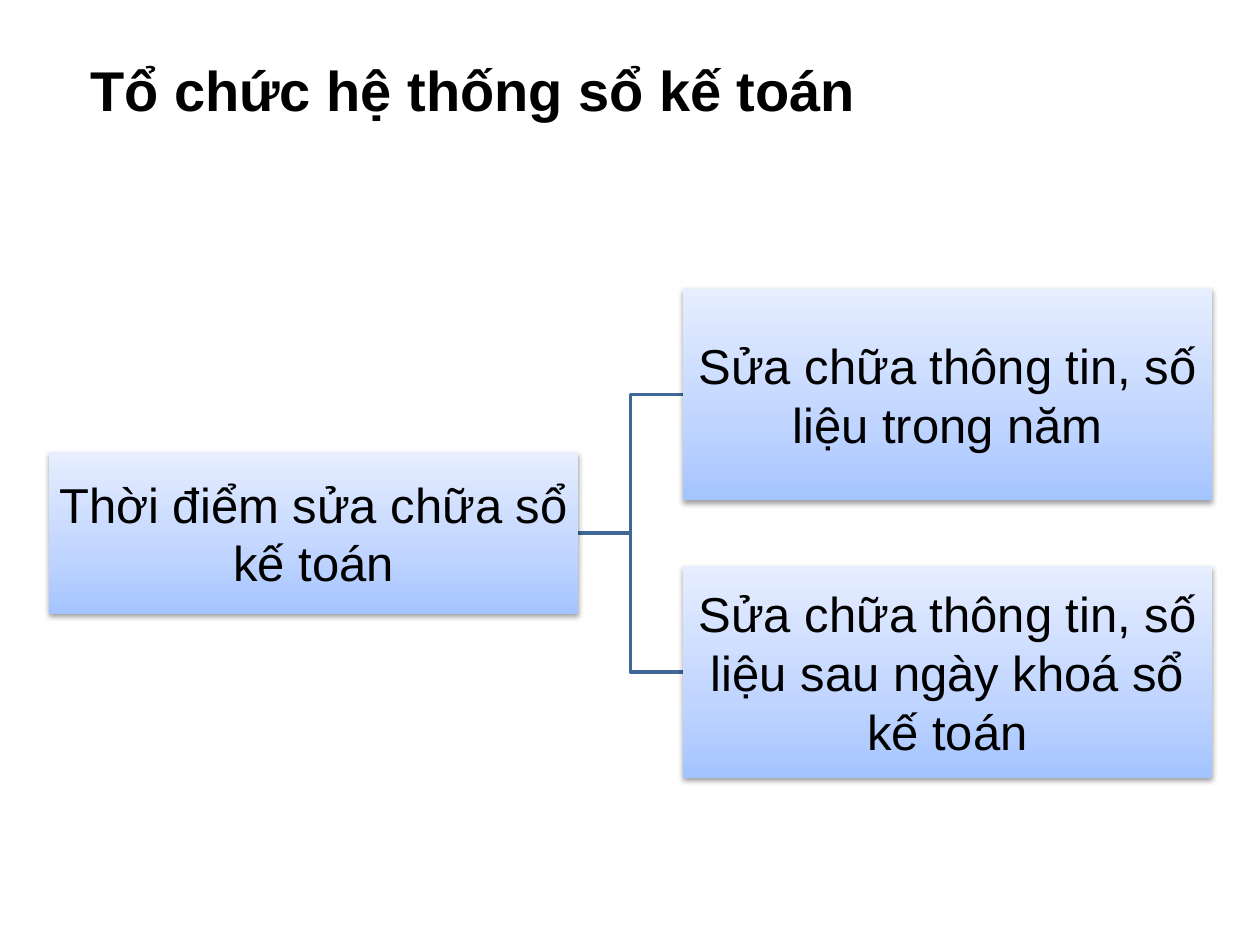
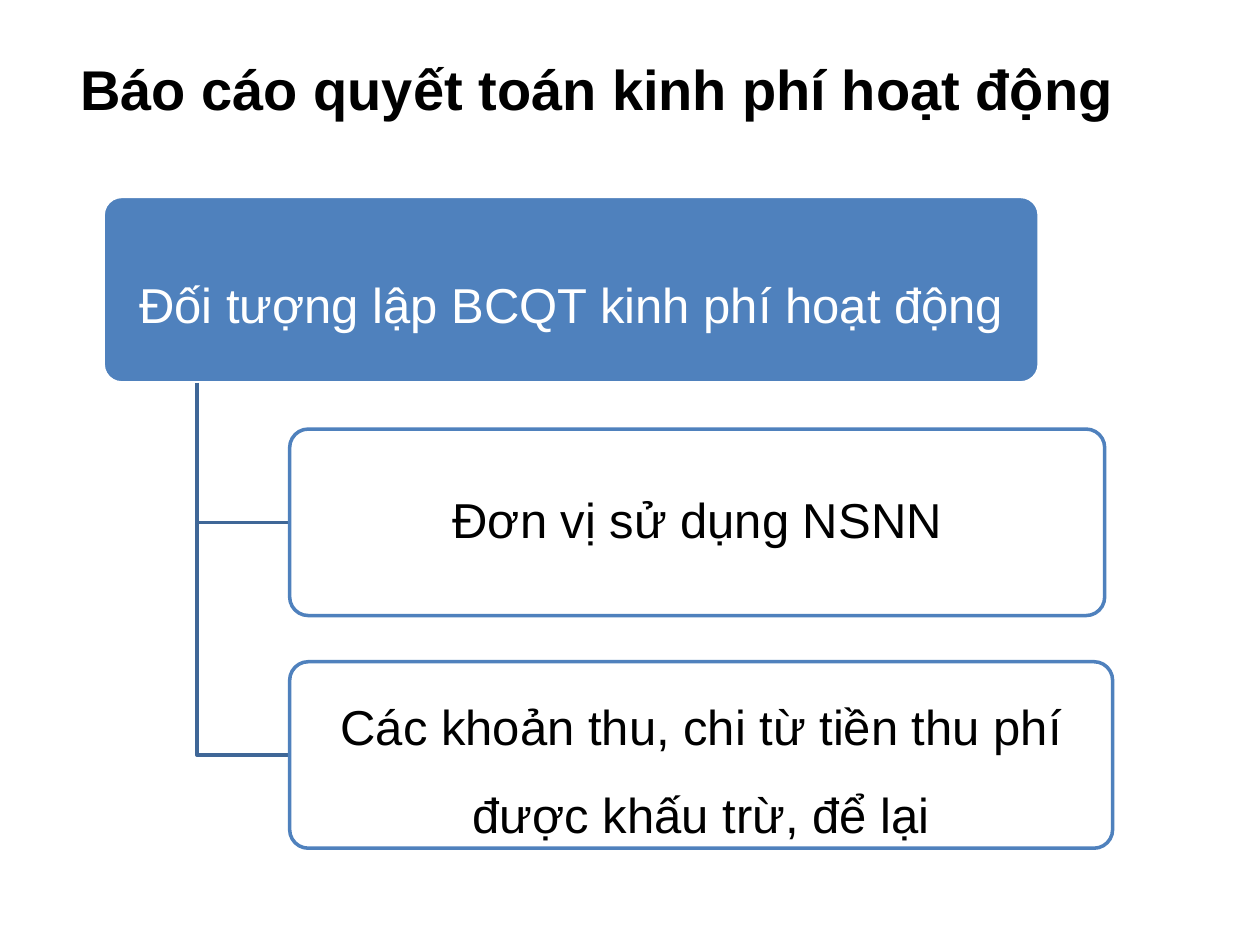
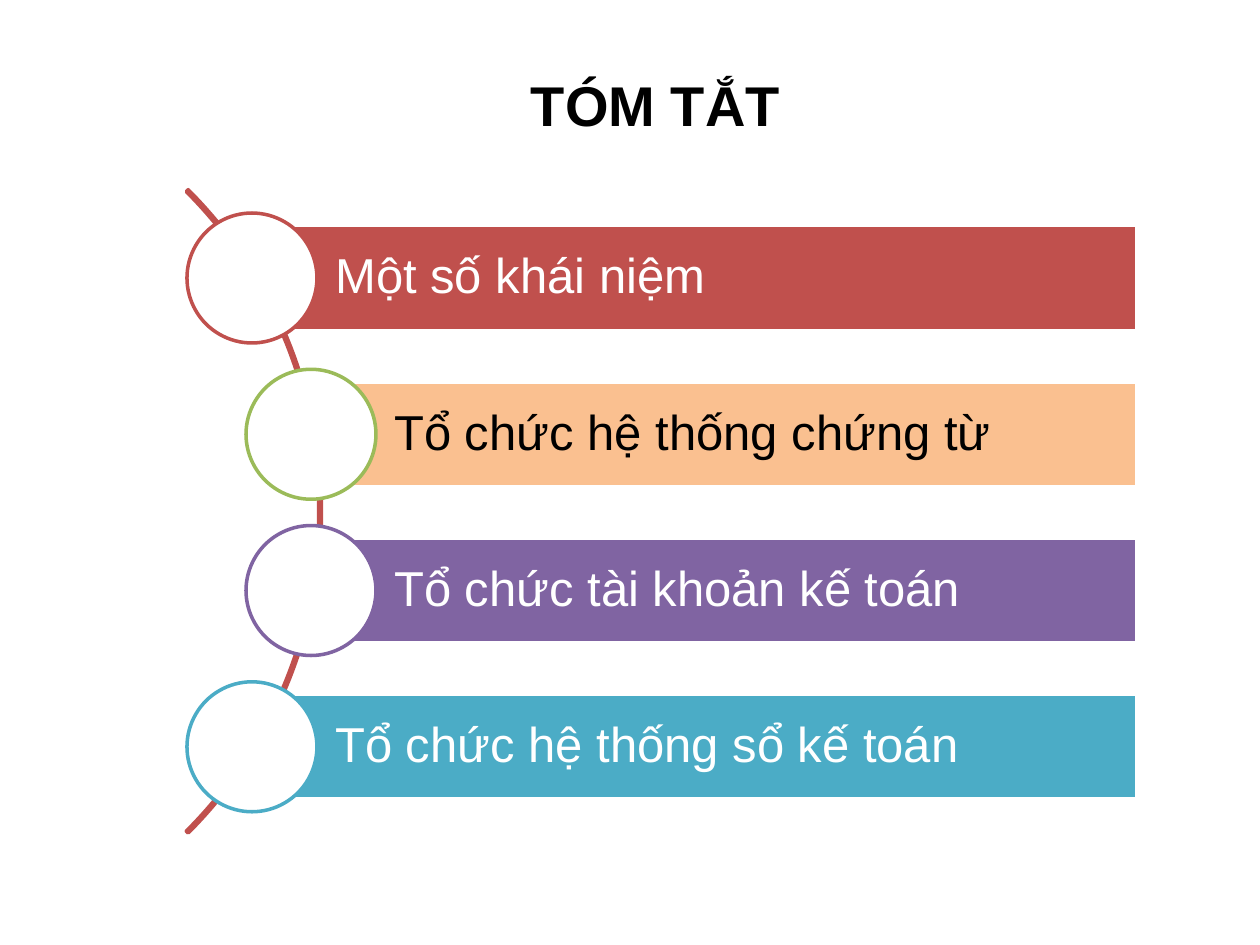
import copy
from dataclasses import dataclass
from typing import Optional

import lxml.etree
import pptx
import pptx.dml.color
import pptx.enum.shapes
import pptx.enum.text
import pptx.oxml.ns
import pptx.util

Cm = pptx.util.Cm
Pt = pptx.util.Pt
RGBColor = pptx.dml.color.RGBColor
MSO_SHAPE = pptx.enum.shapes.MSO_SHAPE
PP_ALIGN = pptx.enum.text.PP_ALIGN
qn = pptx.oxml.ns.qn

FONT = "Arial"
TITLE_SIZE = Pt(32)
BODY_SIZE = Pt(28)
LINE_WIDTH = Pt(2)

BLACK = RGBColor(0x00, 0x00, 0x00)
WHITE = RGBColor(0xFF, 0xFF, 0xFF)
BLUE = RGBColor(0x4F, 0x81, 0xBD)
DARK_BLUE = RGBColor(0x3F, 0x67, 0x97)
RED = RGBColor(0xC0, 0x50, 0x4D)
GREEN = RGBColor(0x9B, 0xBB, 0x59)
ORANGE = RGBColor(0xFA, 0xC0, 0x90)
PURPLE = RGBColor(0x80, 0x64, 0xA2)
TEAL = RGBColor(0x4B, 0xAC, 0xC6)
GRADIENT = (
    (0, RGBColor(0xA4, 0xC4, 0xFF)),
    (0.35, RGBColor(0xBF, 0xD4, 0xFF)),
    (1, RGBColor(0xE6, 0xEE, 0xFF)),
)


@dataclass(frozen=True)
class Box:
    """A rectangle measured in centimetres."""
    left: float
    top: float
    width: float
    height: float

    @property
    def right(self) -> float:
        return self.left + self.width

    @property
    def bottom(self) -> float:
        return self.top + self.height

    @property
    def middle(self) -> float:
        return self.top + self.height / 2

    def lengths(self) -> tuple:
        return Cm(self.left), Cm(self.top), Cm(self.width), Cm(self.height)


@dataclass(frozen=True)
class Label:
    text: str
    color: RGBColor = BLACK
    align: PP_ALIGN = PP_ALIGN.CENTER
    spacing: float = 1.0
    insets: tuple = (0.05, 0.05, 0.05, 0.05)


@dataclass(frozen=True)
class Node:
    box: Box
    label: Label


@dataclass(frozen=True)
class Topic:
    text: str
    left: float
    fill: RGBColor
    ring: RGBColor
    color: RGBColor = WHITE


def add_run(p, text: str, size: Pt, color: RGBColor, bold: bool = False) -> None:
    r = p.add_run()
    r.text = text
    r.font.name = FONT
    r.font.size = size
    r.font.bold = bold
    r.font.color.rgb = color


def add_title_slide(prs, text: str, box: Box, align: PP_ALIGN = PP_ALIGN.LEFT):
    s = prs.slides.add_slide(prs.slide_layouts[6])
    tf = s.shapes.add_textbox(*box.lengths()).text_frame
    tf.word_wrap = True
    tf.auto_size = pptx.enum.text.MSO_AUTO_SIZE.SHAPE_TO_FIT_TEXT
    p = tf.paragraphs[0]
    p.alignment = align
    add_run(p, text, TITLE_SIZE, BLACK, bold=True)
    return s


def set_line(sp, color: Optional[RGBColor]) -> None:
    if color is None:
        sp.line.fill.background()
    else:
        sp.line.color.rgb = color
        sp.line.width = LINE_WIDTH


def add_shape(s, kind: MSO_SHAPE, box: Box, fill: Optional[RGBColor] = None,
              line: Optional[RGBColor] = None):
    sp = s.shapes.add_shape(kind, *box.lengths())
    sp.shadow.inherit = False
    if fill is None:
        sp.fill.background()
    else:
        sp.fill.solid()
        sp.fill.fore_color.rgb = fill
    set_line(sp, line)
    return sp


def write_label(sp, label: Label) -> None:
    tf = sp.text_frame
    tf.word_wrap = True
    tf.vertical_anchor = pptx.enum.text.MSO_ANCHOR.MIDDLE
    (tf.margin_left, tf.margin_top,
     tf.margin_right, tf.margin_bottom) = map(Cm, label.insets)
    p = tf.paragraphs[0]
    p.alignment = label.align
    p.line_spacing = label.spacing
    add_run(p, label.text, BODY_SIZE, label.color)


def add_branch(s, *points: tuple) -> None:
    """Draw an open line through points given in centimetres."""
    start, *rest = [(Cm(x), Cm(y)) for x, y in points]
    builder = s.shapes.build_freeform(*start)
    builder.add_line_segments(rest, close=False)
    sp = builder.convert_to_shape()
    sp.shadow.inherit = False
    sp.fill.background()
    set_line(sp, DARK_BLUE)


def fill_gradient(sp) -> None:
    sp.fill.gradient()
    sp.fill.gradient_angle = 90
    gs = sp._element.spPr.find(".//" + qn("a:gs"))
    gs.addnext(copy.deepcopy(gs))
    for stop, (position, color) in zip(sp.fill.gradient_stops, GRADIENT):
        stop.position = position
        stop.color.rgb = color


def add_shadow(sp) -> None:
    effects = sp._element.spPr.find(qn("a:effectLst"))
    shadow = lxml.etree.SubElement(effects, qn("a:outerShdw"), blurRad="40000",
                                   dist="20000", dir="5400000", rotWithShape="0")
    color = lxml.etree.SubElement(shadow, qn("a:srgbClr"), val=str(BLACK))
    lxml.etree.SubElement(color, qn("a:alpha"), val="38000")


def add_gradient_node(s, node: Node) -> None:
    sp = add_shape(s, MSO_SHAPE.RECTANGLE, node.box)
    fill_gradient(sp)
    add_shadow(sp)
    write_label(sp, node.label)


def add_rounded_node(s, node: Node, fill: RGBColor, line: RGBColor):
    sp = add_shape(s, MSO_SHAPE.ROUNDED_RECTANGLE, node.box, fill, line)
    sp.adjustments[0] = 0.1
    write_label(sp, node.label)
    return sp


def build_correction_slide(prs) -> None:
    s = add_title_slide(prs, "Tổ chức hệ thống sổ kế toán", Box(1.57, 0.99, 16.64, 1.63))
    root = Node(Box(0.99, 9.12, 10.66, 3.25), Label("Thời điểm sửa chữa sổ kế toán"))
    texts = ("Sửa chữa thông tin, số liệu trong năm",
             "Sửa chữa thông tin, số liệu sau ngày khoá sổ kế toán")
    children = [Node(Box(13.77, 5.82 + 5.59 * i, 10.66, 4.27), Label(text))
                for i, text in enumerate(texts)]
    for child in children:
        bend = (root.box.right + child.box.left) / 2
        add_branch(s, (root.box.right, root.box.middle), (bend, root.box.middle),
                   (bend, child.box.middle), (child.box.left, child.box.middle))
    for node in (root, *children):
        add_gradient_node(s, node)


def build_report_slide(prs) -> None:
    s = add_title_slide(prs, "Báo cáo quyết toán kinh phí hoạt động",
                        Box(1.37, 0.97, 21.72, 1.63))
    top, step, height = 3.96, 4.69, 3.76
    insets = (0.15, 0.1, 0.15, 0.1)
    root = Node(Box(2.08, top, 18.87, height),
                Label("Đối tượng lập BCQT kinh phí hoạt động", WHITE,
                      spacing=1.5, insets=insets))
    children = (
        Node(Box(5.84, top + step, 16.43, height),
             Label("Đơn vị sử dụng NSNN", spacing=0.9, insets=insets)),
        Node(Box(5.84, top + 2 * step, 16.59, height),
             Label("Các khoản thu, chi từ tiền thu phí được khấu trừ, để lại",
                   spacing=1.5, insets=insets)),
    )
    add_rounded_node(s, root, BLUE, WHITE)
    trunk = root.box.left + root.box.width / 10
    for child in children:
        add_branch(s, (trunk, root.box.bottom), (trunk, child.box.middle),
                   (child.box.left, child.box.middle))
        sp = add_rounded_node(s, child, WHITE, BLUE)
        color = sp._element.spPr.find(qn("a:solidFill")).find(qn("a:srgbClr"))
        lxml.etree.SubElement(color, qn("a:alpha"), val="90000")


def build_summary_slide(prs) -> None:
    s = add_title_slide(prs, "TÓM TẮT", Box(6.93, 1.3, 12.57, 1.63), PP_ALIGN.CENTER)
    arc = add_shape(s, MSO_SHAPE.BLOCK_ARC, Box(-11.86, 1.14, 18.34, 18.34), line=RED)
    for i, value in enumerate((189, 27, 0.003)):
        arc.adjustments[i] = value

    outer, inner, right, diameter = 5.08, 6.27, 22.91, 2.62
    topics = (
        Topic("Một số khái niệm", outer, RED, RED),
        Topic("Tổ chức hệ thống chứng từ", inner, ORANGE, GREEN, BLACK),
        Topic("Tổ chức tài khoản kế toán", inner, PURPLE, PURPLE),
        Topic("Tổ chức hệ thống sổ kế toán", outer, TEAL, TEAL),
    )
    for i, topic in enumerate(topics):
        bar = Box(topic.left, 4.55 + 3.15 * i, right - topic.left, 2.11)
        sp = add_shape(s, MSO_SHAPE.RECTANGLE, bar, topic.fill, WHITE)
        write_label(sp, Label(topic.text, topic.color, PP_ALIGN.LEFT, 0.9,
                              (1.68, 0.2, 0.2, 0.2)))
        circle = Box(bar.left - diameter / 2, bar.middle - diameter / 2,
                     diameter, diameter)
        add_shape(s, MSO_SHAPE.OVAL, circle, WHITE, topic.ring)


def main() -> None:
    prs = pptx.Presentation()
    prs.slide_width = Cm(25.4)
    prs.slide_height = Cm(19.05)
    build_correction_slide(prs)
    build_report_slide(prs)
    build_summary_slide(prs)
    prs.save("out.pptx")


if __name__ == "__main__":
    main()
